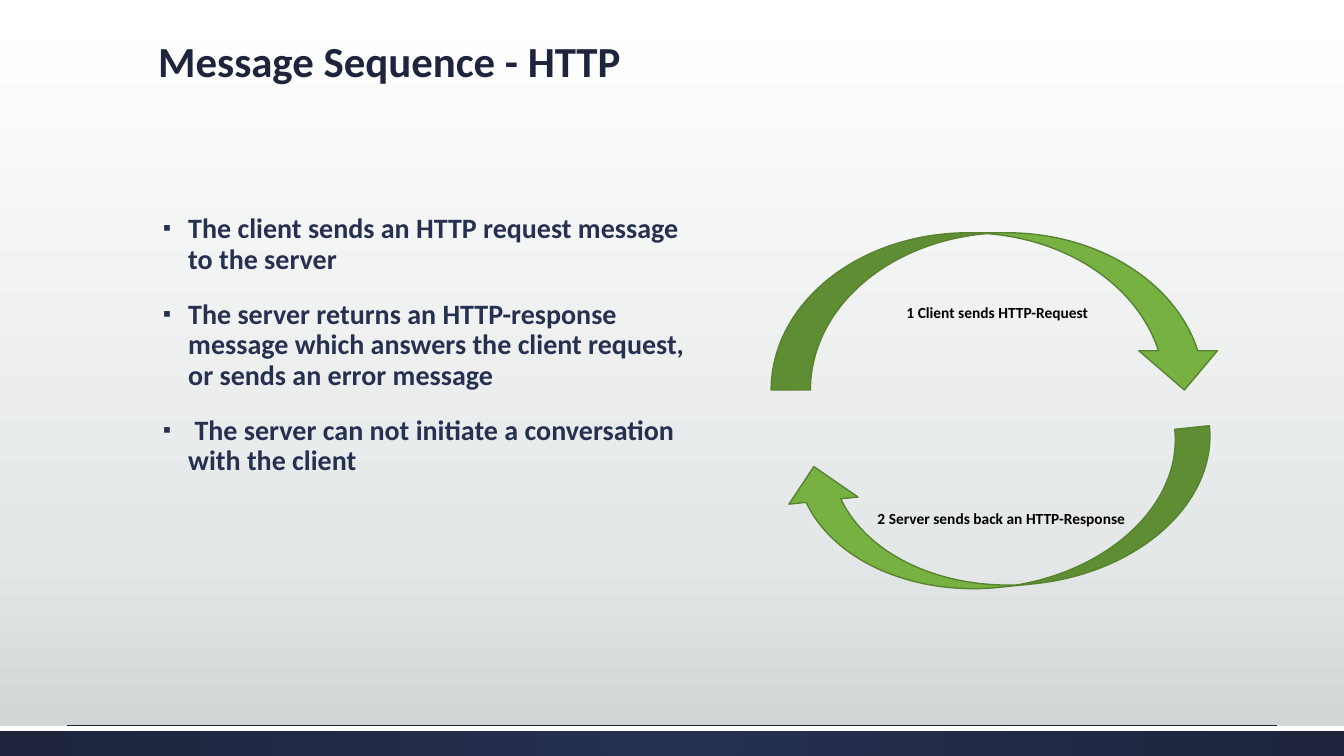
from lxml import etree
from pptx import Presentation
from pptx import util as u
from pptx.dml import color
from pptx.enum import shapes, text
from pptx.oxml import ns

# Content
TITLE = "Message Sequence - HTTP"
BULLETS = [
    "The client sends an HTTP request message to the server",
    "The server returns an HTTP-response message which answers the client request, "
    "or sends an error message",
    " The server can not initiate a conversation with the client",
]
# label, (left, top, width, height), rotation
ARROWS = [
    ("1 Client sends HTTP-Request", (550.8, 166.3, 323.3, 112.3), 0),
    ("2 Server sends back an HTTP-Response", (560.9, 319.7, 308.9, 99.4), 174.1),
]

# Style
FONT = "Calibri"
NAVY, DARK_NAVY, WHITE, BLACK = "263050", "1D243C", "FFFFFF", "000000"
GREEN, DARK_GREEN = "77B142", "588331"
BACKGROUND_STOPS = [(0, WHITE), (72, "E5E8E8"), (100, "CDD2D2")]
FOOTER_STOPS = [(0, NAVY), (100, DARK_NAVY)]
WIDTH, HEIGHT = 960, 540
FOOTER_TOP = 518.4
LABEL_HEIGHT = 24


def rgb(value):
    return color.RGBColor.from_string(value)


def points(*values):
    return [u.Pt(value) for value in values]


def add_child(parent, tag, **attributes):
    child = etree.SubElement(parent, ns.qn(tag))
    for name, value in attributes.items():
        child.set(name, str(value))
    return child


def set_gradient(fill, owner, stops, radial=False):
    fill.gradient()
    gradient = next(owner.iter(ns.qn("a:gradFill")))
    for child in list(gradient):
        gradient.remove(child)
    stop_list = add_child(gradient, "a:gsLst")
    for position, value in stops:
        stop = add_child(stop_list, "a:gs", pos=position * 1000)
        add_child(stop, "a:srgbClr", val=value)
    if radial:
        circle = add_child(gradient, "a:path", path="circle")
        add_child(circle, "a:fillToRect", l=50000, t=50000, r=50000, b=50000)
    else:
        add_child(gradient, "a:lin", ang=5400000, scaled=0)


def set_font(paragraph, size, value):
    font = paragraph.font
    font.name, font.size, font.bold = FONT, u.Pt(size), True
    font.color.rgb = rgb(value)


def add_preset(slide, kind, box):
    shape = slide.shapes.add_shape(kind, *points(*box))
    shape.shadow.inherit = False
    shape.line.fill.background()
    return shape


def add_text_box(slide, box):
    frame = slide.shapes.add_textbox(*points(*box)).text_frame
    frame.word_wrap = True
    return frame


def add_footer(slide):
    bar = add_preset(slide, shapes.MSO_SHAPE.RECTANGLE,
                     (0, FOOTER_TOP, WIDTH, HEIGHT - FOOTER_TOP))
    set_gradient(bar.fill, bar.element, FOOTER_STOPS, radial=True)
    strip = add_preset(slide, shapes.MSO_SHAPE.RECTANGLE, (0, FOOTER_TOP, WIDTH, 3.6))
    strip.fill.solid()
    strip.fill.fore_color.rgb = rgb(WHITE)
    rule = slide.shapes.add_connector(
        shapes.MSO_CONNECTOR.STRAIGHT, *points(48, FOOTER_TOP - 0.5, WIDTH - 48, FOOTER_TOP - 0.5))
    rule.line.color.rgb = rgb(DARK_NAVY)
    rule.line.width = u.Pt(0.5)
    add_child(rule.element.spPr, "a:effectLst")


def add_title(slide):
    title = slide.shapes.title
    title.left, title.top, title.width, title.height = points(105.8, 25.3, 748.8, 48)
    frame = title.text_frame
    frame.text = TITLE
    frame.vertical_anchor = text.MSO_ANCHOR.TOP
    paragraph = frame.paragraphs[0]
    paragraph.alignment = text.PP_ALIGN.LEFT
    paragraph.line_spacing = 0.9
    set_font(paragraph, 30.6, DARK_NAVY)


def add_bullets(slide):
    frame = add_text_box(slide, (105.8, 149.8, 391.7, 324))
    frame.text = "\n".join(BULLETS)
    for index, paragraph in enumerate(frame.paragraphs):
        paragraph.line_spacing = 0.9
        paragraph.space_before = u.Pt(18 if index else 0)
        properties = paragraph._p.get_or_add_pPr()
        properties.set("marL", str(u.Pt(21.6)))
        properties.set("indent", str(u.Pt(-18)))
        add_child(add_child(properties, "a:buClr"), "a:srgbClr", val=NAVY)
        add_child(properties, "a:buSzPct", val=80000)
        add_child(properties, "a:buFont", typeface=FONT)
        add_child(properties, "a:buChar", char="▪")
        set_font(paragraph, 20, NAVY)


def add_arrow(slide, label, box, rotation):
    arrow = add_preset(slide, shapes.MSO_SHAPE.CURVED_DOWN_ARROW, box)
    arrow.rotation = rotation
    arrow.fill.solid()
    arrow.fill.fore_color.rgb = rgb(GREEN)
    arrow.line.color.rgb = rgb(DARK_GREEN)
    arrow.line.width = u.Pt(1)
    # The label stays upright in the middle of the arrow
    left, top, width, height = box
    frame = add_text_box(
        slide, (left, top + (height - LABEL_HEIGHT) / 2 + 1, width, LABEL_HEIGHT))
    frame.vertical_anchor = text.MSO_ANCHOR.MIDDLE
    frame.text = label
    paragraph = frame.paragraphs[0]
    paragraph.alignment = text.PP_ALIGN.CENTER
    set_font(paragraph, 11, BLACK)


def main():
    presentation = Presentation()
    presentation.slide_width, presentation.slide_height = points(WIDTH, HEIGHT)
    slide = presentation.slides.add_slide(presentation.slide_layouts[5])
    set_gradient(slide.background.fill, slide.element, BACKGROUND_STOPS)
    add_footer(slide)
    add_title(slide)
    add_bullets(slide)
    for label, box, rotation in ARROWS:
        add_arrow(slide, label, box, rotation)
    presentation.save("out.pptx")


if __name__ == "__main__":
    main()
